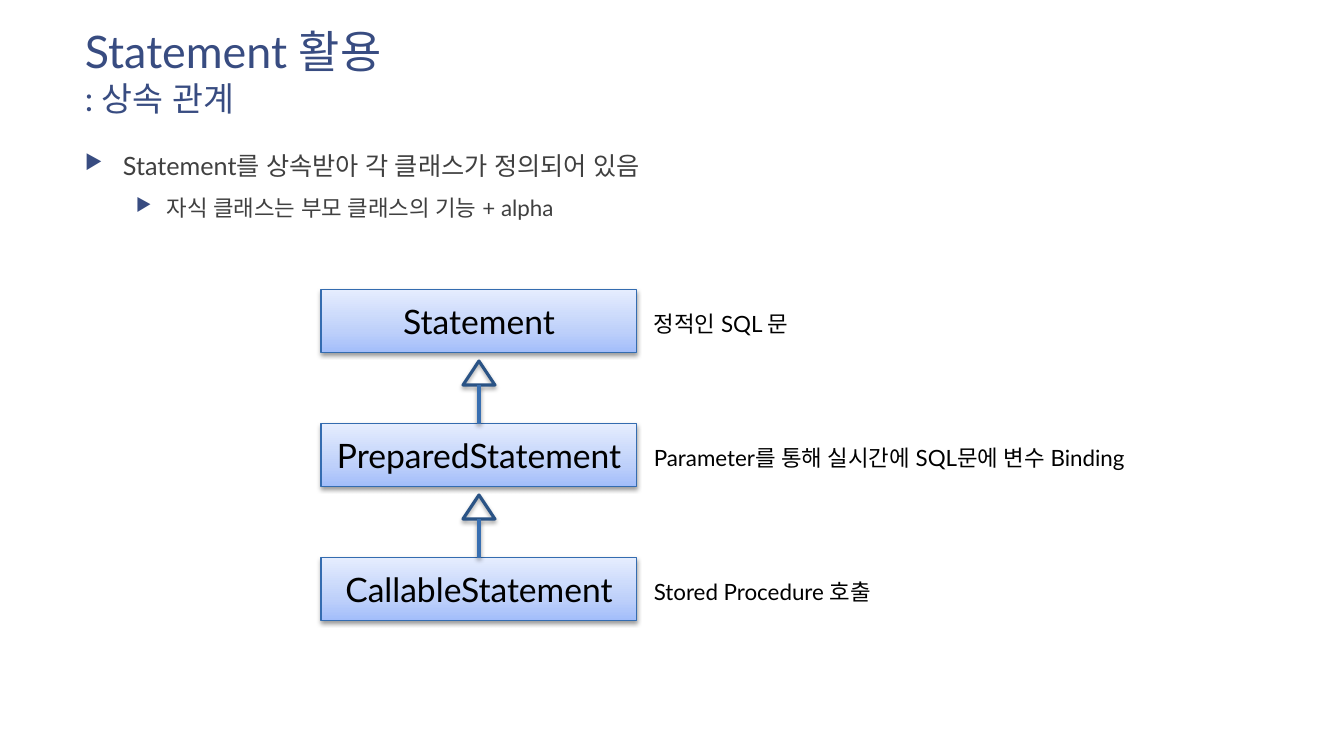
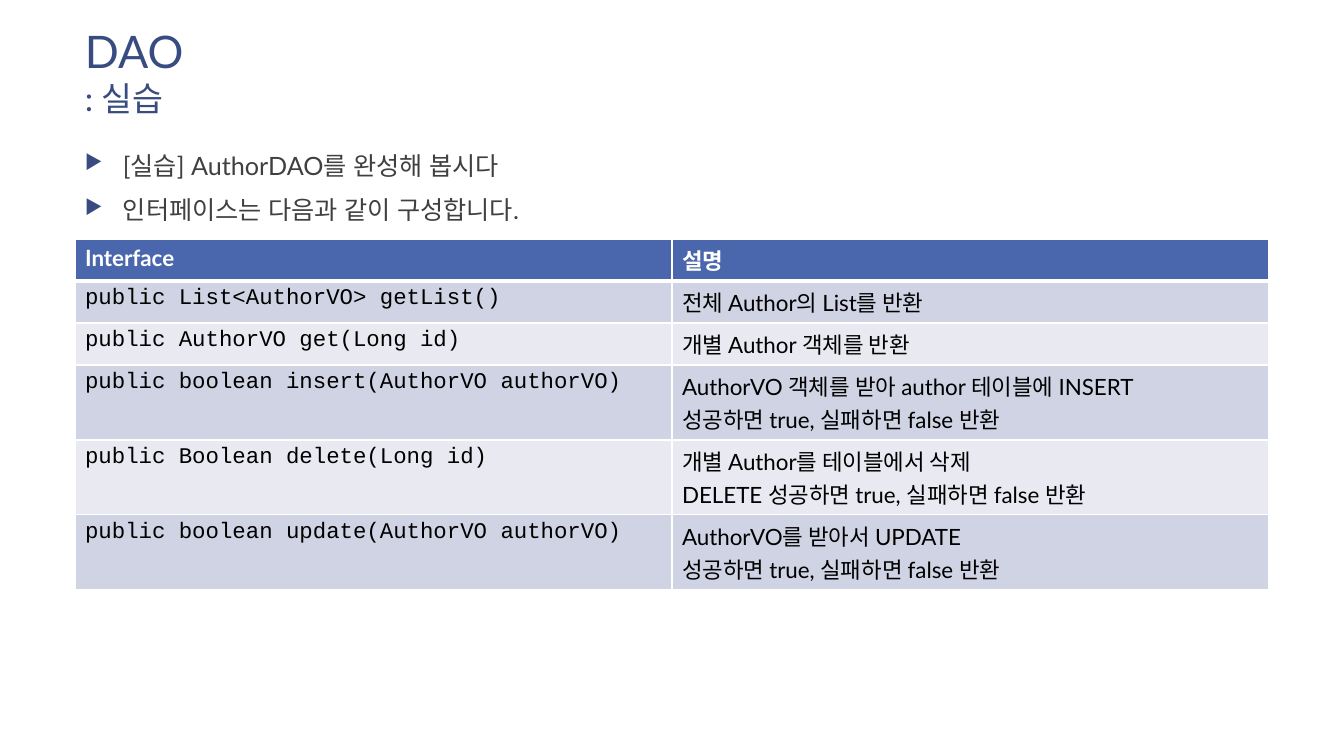
import pptx
import pptx.util
import pptx.dml.color
import pptx.enum.shapes
import pptx.enum.text
import pptx.oxml.ns
import lxml.etree

SCALE = 914400 / 100.8
NAVY, GREY, BLACK, WHITE = "384C81", "404040", "000000", "FFFFFF"
SANS, MONO = "Lato", "Courier New"
HEAD, BANDS = "4A66AC", ("D0D3E3", "E9EAF1")
GLOW = ((0, "A2BDFA"), (35, "BED0FA"), (100, "E5EDFE"))
LEFT, WIDE = 75, 948
LEVELS = ((18, 38, 38), (16, 82, 31))

TREE = {
    "title": ("Statement 활용", ": 상속 관계"),
    "points": [
        (0, "Statement를 상속받아 각 클래스가 정의되어 있음"),
        (1, "자식 클래스는 부모 클래스의 기능 + alpha"),
    ],
    "nodes": [
        ("Statement", "정적인 SQL 문"),
        ("PreparedStatement", "Parameter를 통해 실시간에 SQL문에 변수 Binding"),
        ("CallableStatement", "Stored Procedure 호출"),
    ],
}
TASK = {
    "title": ("DAO", ": 실습"),
    "points": [
        (0, "[실습] AuthorDAO를 완성해 봅시다"),
        (0, "인터페이스는 다음과 같이 구성합니다."),
    ],
    "rows": [
        ("Interface", "설명"),
        ("public List<AuthorVO> getList()", "전체 Author의 List를 반환"),
        ("public AuthorVO get(Long id)", "개별 Author 객체를 반환"),
        ("public boolean insert(AuthorVO authorVO)",
         "AuthorVO 객체를 받아 author 테이블에 INSERT\n성공하면 true, 실패하면 false 반환"),
        ("public Boolean delete(Long id)",
         "개별 Author를 테이블에서 삭제\nDELETE 성공하면 true, 실패하면 false 반환"),
        ("public boolean update(AuthorVO authorVO)",
         "AuthorVO를 받아서 UPDATE\n성공하면 true, 실패하면 false 반환"),
    ],
}


def px(n):
    return pptx.util.Emu(round(n * SCALE))


def rgb(code):
    return pptx.dml.color.RGBColor.from_string(code)


def put(obj, form):
    for name, value in form.items():
        setattr(obj, name, value)


def sub(node, tag, **attrs):
    part = lxml.etree.SubElement(node, pptx.oxml.ns.qn("a:" + tag))
    for name, value in attrs.items():
        part.set(name, str(value))
    return part


def write(para, text, size, color, face=SANS, bold=False, east=True):
    run = para.add_run()
    run.text = text
    put(run.font, {"size": pptx.util.Pt(size), "name": face, "bold": bold})
    run.font.color.rgb = rgb(color)
    if east:
        sub(run._r.get_or_add_rPr(), "ea", typeface=face)


def label(slide, *area):
    frame = slide.shapes.add_textbox(*map(px, area)).text_frame
    frame.word_wrap = True
    return frame


def shade(node, alpha, dist):
    cast = sub(node, "outerShdw", blurRad=39370, dist=dist, dir=5400000, rotWithShape=0)
    sub(sub(cast, "srgbClr", val=BLACK), "alpha", val=alpha * 1000)


def edge(line, color, width):
    line.color.rgb = rgb(color)
    line.width = pptx.util.Pt(width)


def block(slide, kind, area, color, width, alpha, dist):
    shape = slide.shapes.add_shape(kind, *map(px, area))
    shape.shadow.inherit = False
    shade(shape.element.spPr.find(pptx.oxml.ns.qn("a:effectLst")), alpha, dist)
    edge(shape.line, color, width)
    return shape


def start(deck, data):
    slide = deck.slides.add_slide(deck.slide_layouts[6])
    para = label(slide, LEFT, 19, WIDE, 126).paragraphs[0]
    write(para, data["title"][0], 32, NAVY)
    para.add_line_break()
    write(para, data["title"][1], 24, NAVY)
    frame = label(slide, LEFT, 145, WIDE, 520)
    for i, (level, text) in enumerate(data["points"]):
        para = frame.add_paragraph() if i else frame.paragraphs[0]
        size, indent, hang = LEVELS[level]
        put(para, {"level": level, "space_before": pptx.util.Pt(10)})
        props = para._p.get_or_add_pPr()
        props.set("marL", str(px(indent)))
        props.set("indent", str(px(-hang)))
        sub(sub(props, "buClr"), "srgbClr", val=NAVY)
        sub(props, "buSzPct", val=80000)
        sub(props, "buChar", char="▶")
        write(para, text, size, GREY)
    return slide


def box(slide, top, name):
    kinds = pptx.enum.shapes.MSO_SHAPE
    shape = block(slide, kinds.RECTANGLE, (321, top, 316, 63), "346CB0", 0.75, 38, 20000)
    shape.fill.gradient()
    shape.fill.gradient_angle = 90
    stops = next(shape.element.spPr.iter(pptx.oxml.ns.qn("a:gsLst")))
    for stop in list(stops):
        stops.remove(stop)
    for pos, color in GLOW:
        sub(sub(stops, "gs", pos=pos * 1000), "srgbClr", val=color)
    frame = shape.text_frame
    frame.vertical_anchor = pptx.enum.text.MSO_ANCHOR.MIDDLE
    frame.paragraphs[0].alignment = pptx.enum.text.PP_ALIGN.CENTER
    write(frame.paragraphs[0], name, 24, BLACK)


def arrow(slide, top, end):
    kinds = pptx.enum.shapes.MSO_SHAPE
    tip = block(slide, kinds.ISOSCELES_TRIANGLE, (463, top, 32, 24), "2A5385", 2.25, 35, 23000)
    tip.fill.background()
    ends = map(px, (479, top + 24, 479, end))
    stem = slide.shapes.add_connector(pptx.enum.shapes.MSO_CONNECTOR.STRAIGHT, *ends)
    edge(stem.line, "386FB1", 3)
    shade(sub(stem.element.spPr, "effectLst"), 35, 23000)


def tree(slide, nodes):
    tops = [290 + 134 * i for i in range(len(nodes))]
    for top, (name, note) in zip(tops, nodes):
        box(slide, top, name)
        write(label(slide, 644, top + 15, 566, 37).paragraphs[0], note, 16, BLACK)
    for top, end in zip(tops, tops[1:]):
        arrow(slide, top + 71, end)


def border(cell, head, first):
    props = cell._tc.get_or_add_tcPr()
    for side in "LRTB":
        thick = 3 if (head and side == "B") or (first and side == "T") else 1
        line = sub(props, "ln" + side, w=12700 * thick)
        sub(sub(line, "solidFill"), "srgbClr", val=WHITE)


def grid(slide, rows):
    highs = [75 if "\n" in note else 42 for _, note in rows]
    area = map(px, (LEFT, 239, 1194, sum(highs)))
    table = slide.shapes.add_table(len(rows), 2, *area).table
    put(table, {"first_row": False, "horz_banding": False})
    for r, row in enumerate(rows):
        head = r == 0
        table.rows[r].height = px(highs[r])
        for c, text in enumerate(row):
            cell = table.cell(r, c)
            border(cell, head, r == 1)
            cell.fill.solid()
            cell.fill.fore_color.rgb = rgb(HEAD if head else BANDS[(r - 1) % 2])
            face = SANS if head or c else MONO
            for i, line in enumerate(text.split("\n")):
                frame = cell.text_frame
                para = frame.add_paragraph() if i else frame.paragraphs[0]
                write(para, line, 16, WHITE if head else BLACK, face, head, False)


def main():
    deck = pptx.Presentation()
    put(deck, {"slide_width": px(1344), "slide_height": px(756)})
    tree(start(deck, TREE), TREE["nodes"])
    grid(start(deck, TASK), TASK["rows"])
    deck.save("out.pptx")


if __name__ == "__main__":
    main()
